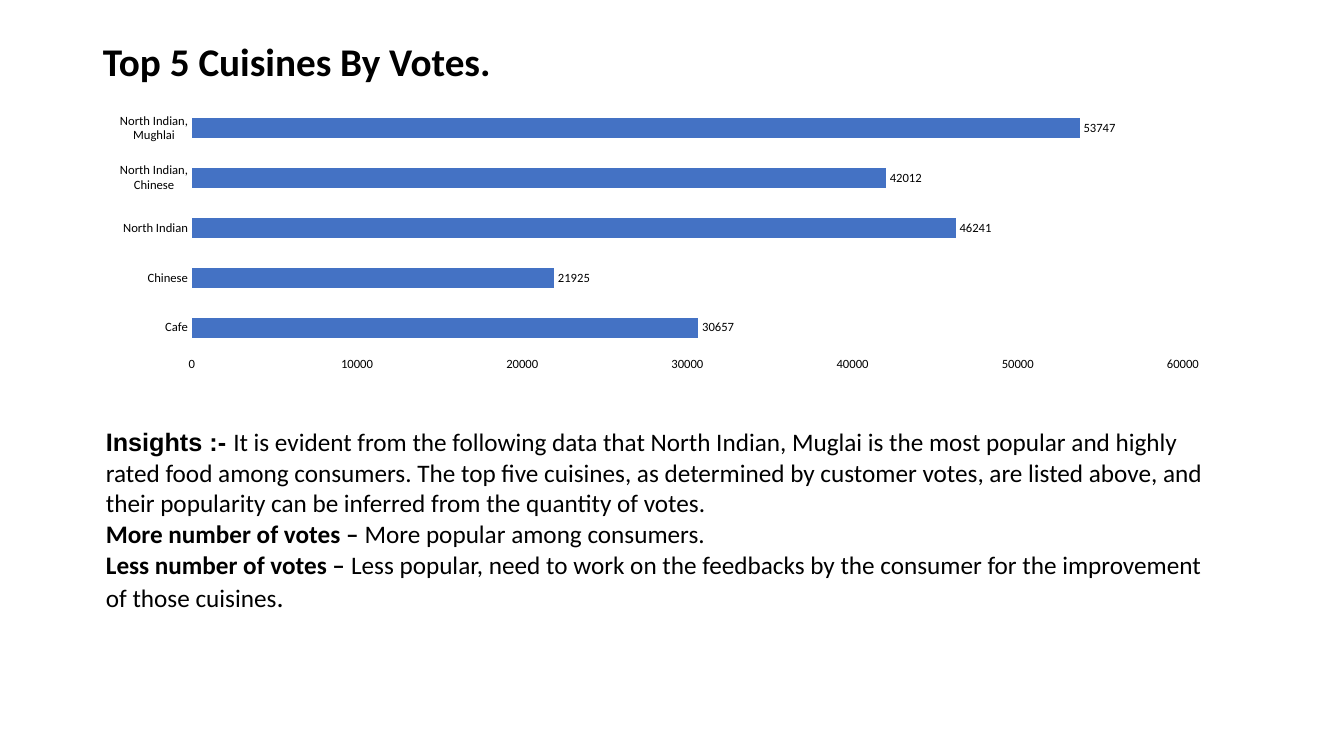
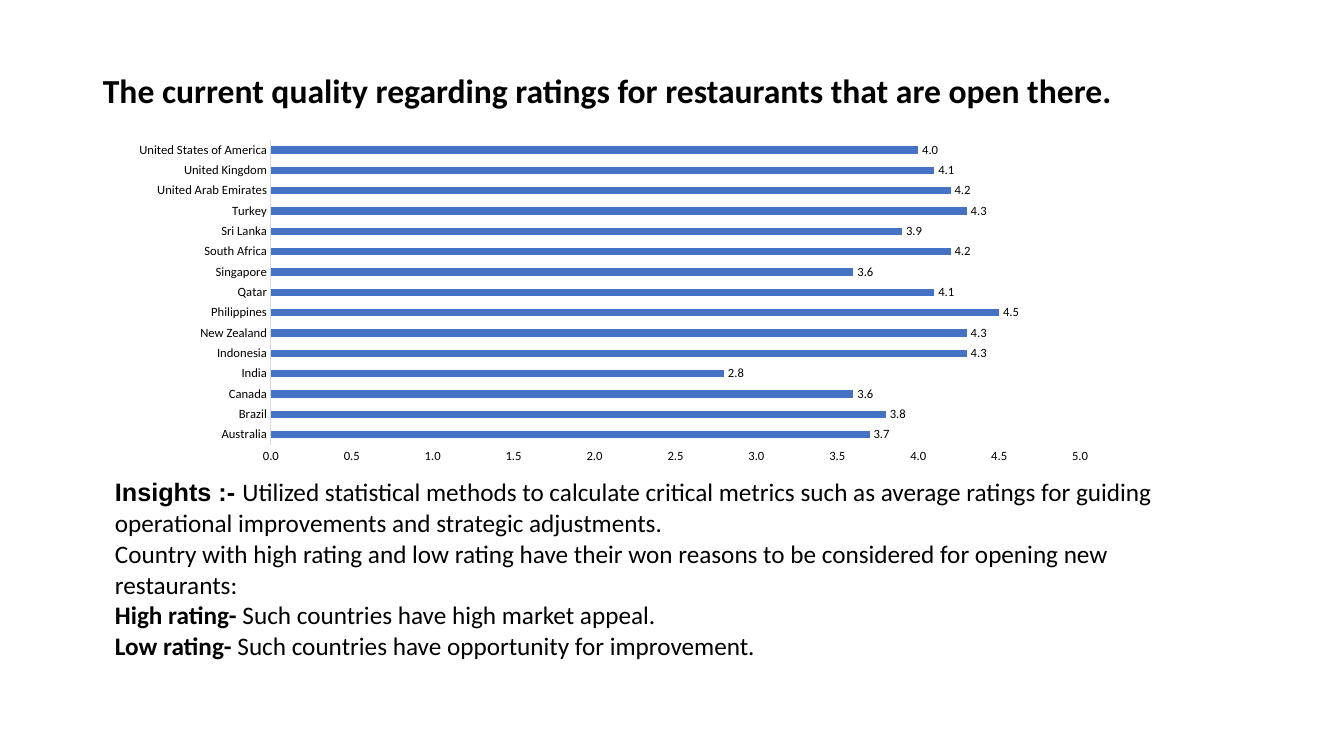
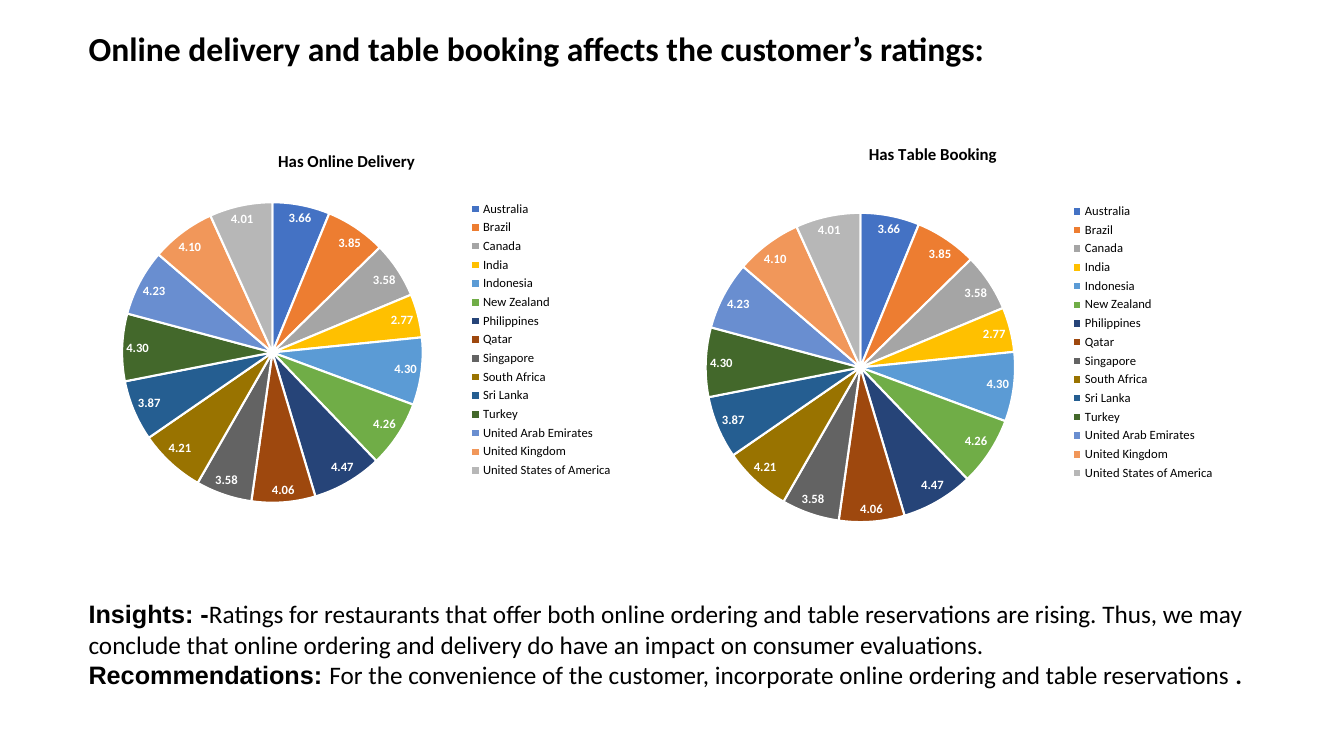
from pptx import Presentation
from pptx.chart.data import CategoryChartData
from pptx.dml.color import RGBColor
from pptx.enum.chart import XL_CHART_TYPE as ChartType
from pptx.enum.chart import XL_LABEL_POSITION as LabelPos
from pptx.enum.chart import XL_LEGEND_POSITION as LegendPos
from pptx.enum.chart import XL_TICK_MARK as TickMark
from pptx.enum.text import MSO_ANCHOR as Anchor
from pptx.enum.text import MSO_AUTO_SIZE as AutoSize
from pptx.enum.text import PP_ALIGN as Align
from pptx.oxml import parse_xml
from pptx.oxml.ns import nsdecls, qn
from pptx.util import Inches, Pt

COLORS = {"text": "000000", "bar": "4472C4", "axis": "D9D9D9", "white": "FFFFFF"}
SLICES = [
    "4472C4", "ED7D31", "A5A5A5", "FFC000", "5B9BD5",
    "70AD47", "264478", "9E480E", "636363", "997300",
    "255E91", "43682B", "698ED0", "F1975A", "B7B7B7",
]
BODY, LEAD = "Calibri", "Arial"

# Text styles: font, bold, size
STYLES = {
    "lead": (LEAD, True, 18),
    "bold": (BODY, True, 18),
    "plain": (BODY, False, 18),
    "stop": (BODY, False, 20),
}

COUNTRIES = [
    "Australia", "Brazil", "Canada", "India", "Indonesia",
    "New Zealand", "Philippines", "Qatar", "Singapore", "South Africa",
    "Sri Lanka", "Turkey", "United Arab Emirates", "United Kingdom",
    "United States of America",
]
COUNTRY_RATINGS = [3.7, 3.8, 3.6, 2.8, 4.3, 4.3, 4.5, 4.1,
                   3.6, 4.2, 3.9, 4.3, 4.2, 4.1, 4.0]
SERVICE_RATINGS = [3.66, 3.85, 3.58, 2.77, 4.30, 4.26, 4.47, 4.06,
                   3.58, 4.21, 3.87, 4.30, 4.23, 4.10, 4.01]
CUISINES = ["Cafe", "Chinese", "North Indian",
            "North Indian, Chinese", "North Indian, Mughlai"]
CUISINE_VOTES = [30657, 21925, 46241, 42012, 53747]


def color(name):
    return RGBColor.from_string(COLORS[name])


def manual_layout(target="", **fractions):
    """Chart layout whose parts are fractions of the chart's size."""
    inner = f'<c:layoutTarget val="{target}"/>' if target else ""
    modes = '<c:xMode val="edge"/><c:yMode val="edge"/>'
    places = "".join(f'<c:{key} val="{val}"/>' for key, val in fractions.items())
    return parse_xml(f'<c:layout {nsdecls("c")}><c:manualLayout>'
                     f'{inner}{modes}{places}</c:manualLayout></c:layout>')


class Deck:
    def __init__(self):
        self.prs = Presentation()
        self.prs.slide_width, self.prs.slide_height = Inches(13.33), Inches(7.5)
        self.slide = None

    def font(self, font, size, bold=False, name=BODY, tone="text"):
        font.name, font.size, font.bold = name, Pt(size), bold
        font.color.rgb = color(tone)

    def new_slide(self, title, box, size=24):
        self.slide = self.prs.slides.add_slide(self.prs.slide_layouts[5])
        heading = self.slide.shapes.title
        heading.left, heading.top, heading.width, heading.height = map(Inches, box)
        frame = heading.text_frame
        frame.text = title
        frame.auto_size, frame.vertical_anchor = AutoSize.NONE, Anchor.MIDDLE
        line = frame.paragraphs[0]
        line.alignment, line.line_spacing = Align.LEFT, 0.9
        self.font(line.runs[0].font, size, True)

    def fill_text(self, frame, paragraphs):
        frame.word_wrap = True
        for index, parts in enumerate(paragraphs):
            line = frame.add_paragraph() if index else frame.paragraphs[0]
            for style, text in parts:
                run = line.add_run()
                run.text = text
                name, bold, size = STYLES[style]
                self.font(run.font, size, bold, name)

    def insight_table(self, box, paragraphs):
        table = self.slide.shapes.add_table(1, 1, *map(Inches, box)).table
        table.first_row = table.horz_banding = False
        cell = table.cell(0, 0)
        cell.fill.background()
        self.fill_text(cell.text_frame, paragraphs)

    def insight_text(self, box, paragraphs):
        note = self.slide.shapes.add_textbox(*map(Inches, box))
        self.fill_text(note.text_frame, paragraphs)

    def chart(self, kind, box, categories, values, plot_box, label_format):
        data = CategoryChartData()
        data.categories = categories
        data.add_series("Series 1", values)
        chart = self.slide.shapes.add_chart(kind, *map(Inches, box), data).chart
        self.font(chart.font, 10)
        chart.has_title = chart.has_legend = False
        # Plot area position
        area = chart.element.find(".//" + qn("c:plotArea"))
        for old in area.findall(qn("c:layout")):
            area.remove(old)
        area.insert(0, manual_layout("inner", **dict(zip("xywh", plot_box))))
        # Value labels
        plot = chart.plots[0]
        plot.has_data_labels = True
        labels = plot.data_labels
        labels.show_value = True
        labels.number_format, labels.number_format_is_linked = label_format, False
        return chart, plot, labels

    def bar_chart(self, box, categories, values, plot_box, top, step,
                  number_format="General", gap=150, axis_line=False):
        chart, plot, labels = self.chart(ChartType.BAR_CLUSTERED, box, categories,
                                         values, plot_box, number_format)
        plot.gap_width, plot.vary_by_categories = gap, False
        labels.position = LabelPos.OUTSIDE_END
        self.font(labels.font, 9)
        bars = plot.series[0].format.fill
        bars.solid()
        bars.fore_color.rgb = color("bar")
        # Axes
        for axis in (chart.category_axis, chart.value_axis):
            axis.has_major_gridlines = False
            axis.major_tick_mark = axis.minor_tick_mark = TickMark.NONE
            axis.format.line.fill.background()
            self.font(axis.tick_labels.font, 9)
        if axis_line:
            line = chart.category_axis.format.line
            line.color.rgb, line.width = color("axis"), Pt(0.75)
        scale = chart.value_axis
        scale.minimum_scale, scale.maximum_scale, scale.major_unit = 0, top, step
        scale.tick_labels.number_format = number_format
        scale.tick_labels.number_format_is_linked = False

    def pie_chart(self, title, box, categories, values, plot_box, title_at):
        chart, plot, labels = self.chart(ChartType.PIE, box, categories,
                                         values, plot_box, "#,##0.00")
        plot.vary_by_categories = True
        labels.position = LabelPos.BEST_FIT
        self.font(labels.font, 9, True, tone="white")
        # Title
        chart.has_title = True
        frame = chart.chart_title.text_frame
        frame.text = title
        self.font(frame.paragraphs[0].runs[0].font, 12, True)
        title_text = chart.element.find(".//" + qn("c:title")).find(qn("c:tx"))
        for old in title_text.getparent().findall(qn("c:layout")):
            old.getparent().remove(old)
        title_text.addnext(manual_layout(**dict(zip("xy", title_at))))
        # Legend
        chart.has_legend = True
        chart.legend.position = LegendPos.RIGHT
        chart.legend.include_in_layout = False
        self.font(chart.legend.font, 9)
        # Slices
        for index, tone in enumerate(SLICES):
            piece = plot.series[0].points[index].format
            piece.fill.solid()
            piece.fill.fore_color.rgb = RGBColor.from_string(tone)
            piece.line.color.rgb, piece.line.width = color("white"), Pt(1.5)


def main():
    deck = Deck()

    # Cuisines by votes
    deck.new_slide("Top 5 Cuisines By Votes.", (0.92, 0.4, 11.5, 0.47), 28)
    deck.bar_chart((1.01, 0.97, 11.17, 2.78), CUISINES, CUISINE_VOTES,
                   (0.08, 0.02, 0.88, 0.89), 60000, 10000)
    deck.insight_table((0.95, 4.19, 11.28, 2.34), [
        [("lead", "Insights :- "),
         ("plain", "It is evident from the following data that North Indian, Muglai is "
                   "the most popular and highly rated food among consumers. The top five "
                   "cuisines, as determined by customer votes, are listed above, and their "
                   "popularity can be inferred from the quantity of votes.")],
        [("bold", "More number of votes – "), ("plain", "More popular among consumers.")],
        [("bold", "Less number of votes – "),
         ("plain", "Less popular, need to work on the feedbacks by the consumer for the "
                   "improvement of those cuisines"),
         ("stop", ".")],
    ])

    # Ratings by country
    deck.new_slide("The current quality regarding ratings for restaurants that are "
                   "open there.", (0.92, 0.67, 11.5, 0.5))
    deck.bar_chart((1.04, 1.25, 10.29, 3.44), COUNTRIES, COUNTRY_RATINGS,
                   (0.16, 0.04, 0.78, 0.88), 5, 0.5, "0.0", 182, True)
    deck.insight_table((1.04, 4.69, 11.25, 2.2), [
        [("lead", "Insights :- "),
         ("plain", "Utilized statistical methods to calculate critical metrics such as "
                   "average ratings for guiding operational improvements and strategic "
                   "adjustments.")],
        [("plain", "Country with high rating and low rating have their won reasons to be "
                   "considered for opening new restaurants:")],
        [("bold", "High rating- "), ("plain", "Such countries have high market appeal.")],
        [("bold", "Low rating- "),
         ("plain", "Such countries have opportunity for improvement.")],
    ])

    # Online delivery and table booking
    deck.new_slide("Online delivery and table booking affects the customer’s ratings:",
                   (0.78, 0.25, 12.44, 0.5))
    deck.insight_text((0.78, 5.89, 11.91, 1.01), [
        [("lead", "Insights: -"),
         ("plain", "Ratings for restaurants that offer both online ordering and table "
                   "reservations are rising. Thus, we may conclude that online ordering "
                   "and delivery do have an impact on consumer evaluations.")],
        [("lead", "Recommendations: "),
         ("plain", "For the convenience of the customer, incorporate online ordering and "
                   "table reservations "),
         ("bold", ".")],
    ])
    for title, box, plot_box, title_at in (
        ("Has Online Delivery", (0.87, 1.24, 5.31, 4.26),
         (0.06, 0.18, 0.57, 0.7), (0.35, 0.05)),
        ("Has Table Booking", (6.67, 1.3, 5.48, 4.19),
         (0.06, 0.19, 0.56, 0.74), (0.35, 0.02)),
    ):
        deck.pie_chart(title, box, COUNTRIES, SERVICE_RATINGS, plot_box, title_at)

    deck.prs.save("out.pptx")


if __name__ == "__main__":
    main()
